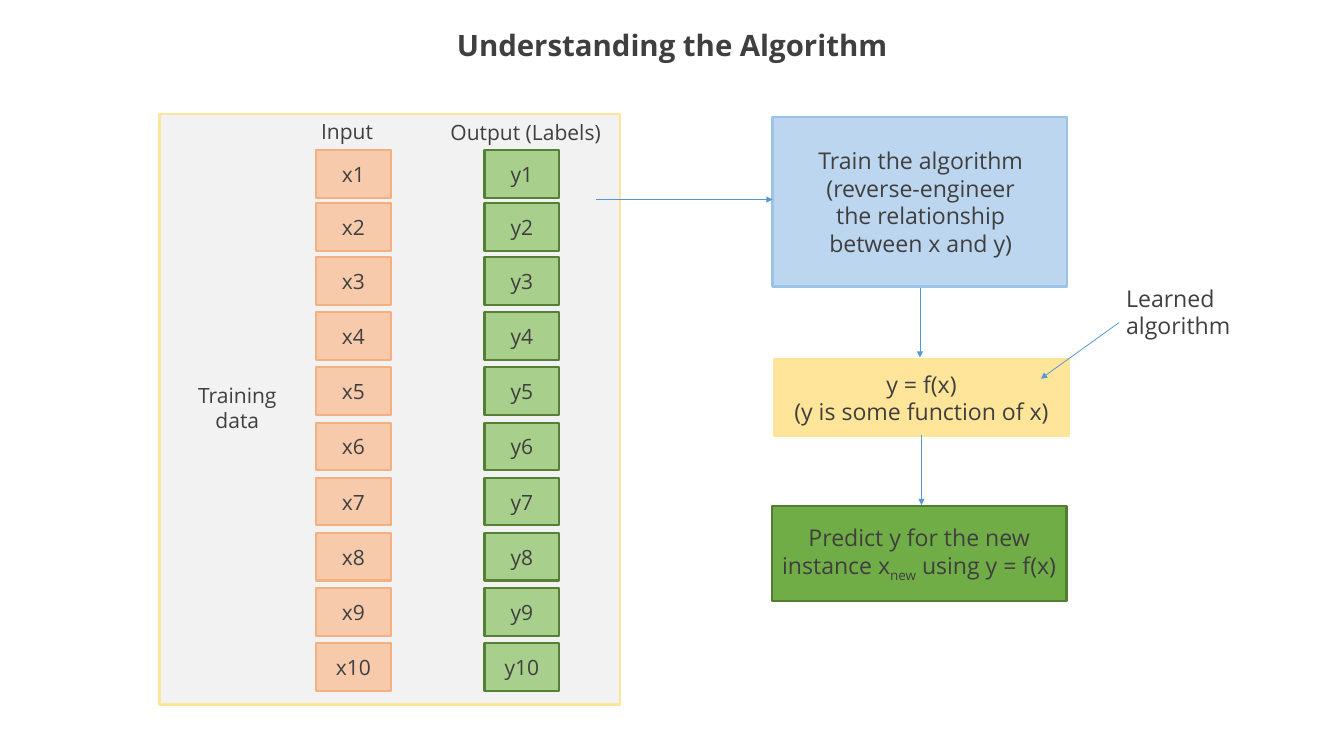
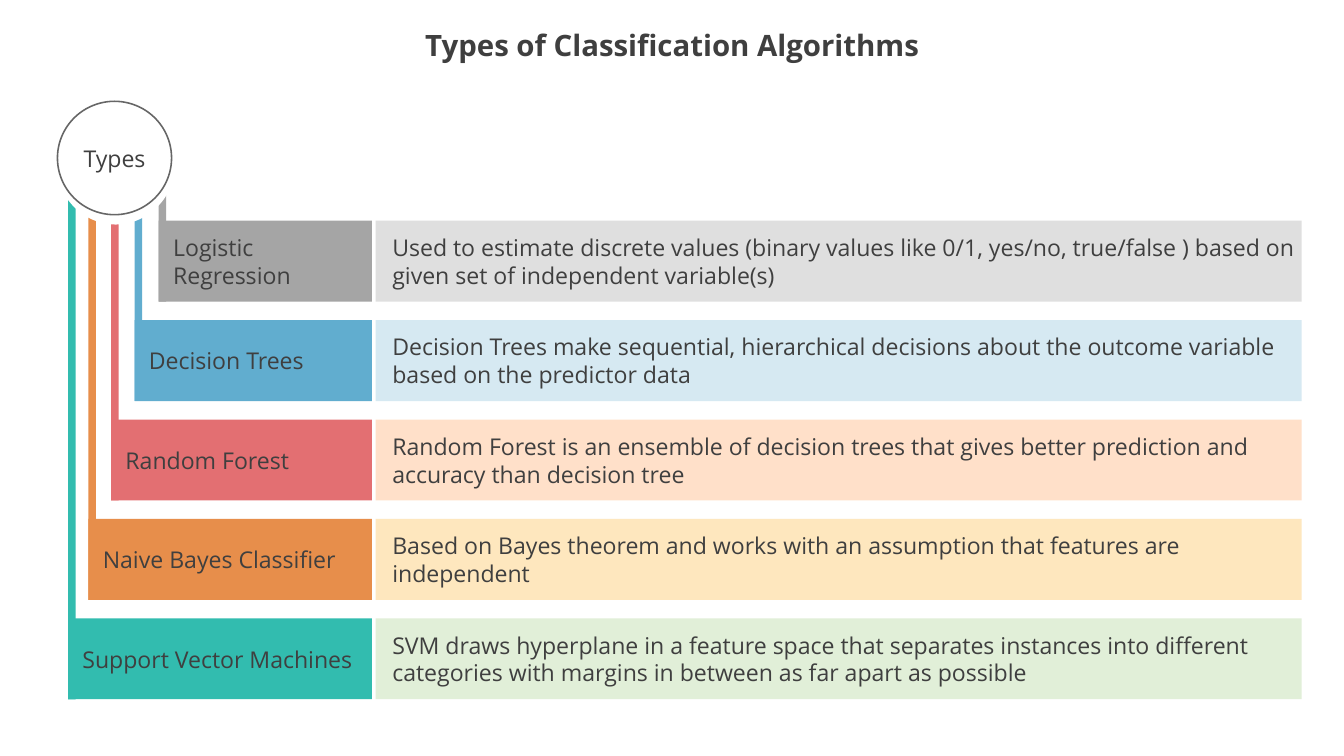
"""Build two slides on how classification algorithms learn and which types exist."""
from dataclasses import dataclass

from lxml.etree import SubElement as Sub
from pptx import Presentation
from pptx.dml.color import RGBColor as Rgb
from pptx.enum.shapes import MSO_CONNECTOR as Link, MSO_SHAPE as Shape
from pptx.enum.text import MSO_ANCHOR as Anchor, PP_ALIGN as Align
from pptx.oxml.ns import qn
from pptx.util import Inches, Pt


@dataclass(frozen=True)
class Theme:
    font: str = "Open Sans"
    ink: str = "3F3F3F"
    arrow: str = "5597D3"
    ring: str = "666666"
    white: str = "FFFFFF"
    panel: tuple = ("F2F2F2", "FEE599")
    peach: tuple = ("F7CAAC", "F4B081")
    lime: tuple = ("A8D08C", "548135")
    sky: tuple = ("BBD6EE", "9CC2E5")
    gold: tuple = ("FEE599", "FEE599")
    green: tuple = ("70AD47", "517E33")
    title: int = 28
    body: int = 22
    small: int = 20


T = Theme()
SIZE = (17.78, 10)
PAD = (0.1, 0.05, 0.1, 0.05)

TITLES = ("Understanding the Algorithm", "Types of Classification Algorithms")
PANEL = (2.11, 1.51, 6.09, 7.81)
COLS = (("x", 4.18, T.peach), ("y", 6.41, T.lime))
TOPS = [1.99, 2.69] + [3.4 + 0.73 * i for i in range(8)]
CELL = (0.99, 0.63)
LABELS = (
    ("Input", (4.15, 1.52, 0.94, 0.42), T.small, Align.LEFT),
    ("Output (Labels)", (5.86, 1.53, 2.32, 0.42), T.small, Align.LEFT),
    ("Training data", (2.37, 5.01, 1.54, 0.74), T.small, Align.CENTER),
    ("Learned algorithm", (14.8, 3.71, 1.87, 0.77), T.body, Align.LEFT),
)
STEPS = (
    (["Train the algorithm (reverse-engineer the relationship between x and y)"],
     (10.22, 1.55, 3.9, 2.24), T.sky, (0.48, 0.05, 0.46, 0.05)),
    (["y = f(x)", "(y is some function of x)"],
     (10.24, 4.75, 3.9, 1.02), T.gold, PAD),
    ([("Predict y for the new instance x", "new", " using y = f(x)")],
     (10.21, 6.69, 3.9, 1.26), T.green, PAD),
)
ARROWS = (
    (7.89, 2.64, 10.22, 2.64),
    (12.17, 3.81, 12.17, 4.73),
    (12.19, 5.76, 12.19, 6.68),
    (14.8, 4.27, 13.77, 5.01),
)

TYPES = (
    ("Logistic Regression", 2.1, "A5A5A5", "DFDFDF",
     "Used to estimate discrete values (binary values like 0/1, yes/no, "
     "true/false ) based on given set of independent variable(s)"),
    ("Decision Trees", 1.78, "61ADCF", "D6E9F2",
     "Decision Trees make sequential, hierarchical decisions about the "
     "outcome variable based on the predictor data"),
    ("Random Forest", 1.47, "E36F72", "FFE0C9",
     "Random Forest is an ensemble of decision trees that gives better "
     "prediction and accuracy than decision tree"),
    ("Naive Bayes Classifier", 1.17, "E78E4B", "FEE7BE",
     "Based on Bayes theorem and works with an assumption that features "
     "are independent"),
    ("Support Vector Machines", 0.9, "32BCAF", "E1EFD8",
     "SVM draws hyperplane in a feature space that separates instances into "
     "different categories with margins in between as far apart as possible"),
)
FIRST, LAST, HIGH = 2.92, 8.18, 1.07
STEM, WIDE = 1.96, 0.1
SPLIT, DESC, EDGE = 4.92, 4.97, 17.22


def write(shape, paras, size=T.body, align=Align.CENTER, pad=PAD,
          anchor=Anchor.MIDDLE, bold=False, space=None):
    frame = shape.text_frame
    frame.word_wrap = True
    frame.vertical_anchor = anchor
    (frame.margin_left, frame.margin_top,
     frame.margin_right, frame.margin_bottom) = map(Inches, pad)
    for i, parts in enumerate(paras):
        para = frame.add_paragraph() if i else frame.paragraphs[0]
        para.alignment = align
        para.line_spacing = space
        font = para.font
        font.name, font.size, font.bold = T.font, Pt(size), bold
        font.color.rgb = Rgb.from_string(T.ink)
        for j, text in enumerate((parts,) if isinstance(parts, str) else parts):
            run = para.add_run()
            run.text = text
            if j == 1:
                run.font._element.set("baseline", "-25000")


def box(slide, at, fill=None, line=None, width=2, kind=Shape.RECTANGLE):
    shape = slide.shapes.add_shape(kind, *map(Inches, at))
    shape.shadow.inherit = False
    if fill:
        shape.fill.solid()
        shape.fill.fore_color.rgb = Rgb.from_string(fill)
    else:
        shape.fill.background()
    if line:
        shape.line.color.rgb = Rgb.from_string(line)
        shape.line.width = Pt(width)
    else:
        shape.line.fill.background()
    return shape


def note(slide, text, at, size, align, **look):
    write(slide.shapes.add_textbox(*map(Inches, at)), [text], size, align, **look)


def arrow(slide, ends):
    line = slide.shapes.add_connector(Link.STRAIGHT, *map(Inches, ends))
    line.line.color.rgb = Rgb.from_string(T.arrow)
    line.line.width = Pt(0.75)
    Sub(line.line._get_or_add_ln(), qn("a:tailEnd"), type="triangle")
    Sub(line._element.spPr, qn("a:effectLst"))


def start(deck, title):
    slide = deck.slides.add_slide(deck.slide_layouts[6])
    note(slide, title, (0, 0.25, SIZE[0], 0.75), T.title, Align.CENTER,
         bold=True, space=0.9)
    return slide


def flow(slide):
    box(slide, PANEL, *T.panel)
    for name, left, look in COLS:
        for i, top in enumerate(TOPS, 1):
            write(box(slide, (left, top, *CELL), *look), [f"{name}{i}"], T.small)
    for text, at, look, pad in STEPS:
        write(box(slide, at, *look), text, pad=pad)
    for text, at, size, align in LABELS:
        note(slide, text, at, size, align, anchor=Anchor.TOP)
    for ends in ARROWS:
        arrow(slide, ends)


def tree(slide):
    pitch = (LAST - FIRST) / (len(TYPES) - 1)
    for i, (name, left, dark, light, text) in enumerate(TYPES):
        top = FIRST + pitch * i
        write(box(slide, (DESC, top, EDGE - DESC, HIGH), light), [text],
              align=Align.LEFT, pad=(0.22, 0, 0, 0))
        box(slide, (left, STEM, WIDE, top + HIGH - STEM), dark)
        write(box(slide, (left, top, SPLIT - left, HIGH), dark), [name],
              align=Align.LEFT, pad=(0.19, 0.05, 0.15, 0.05))
    box(slide, (0.72, 1.22, 1.62, 1.75), T.white, kind=Shape.OVAL)
    ring = box(slide, (0.76, 1.34, 1.51, 1.5), None, T.ring, 1.5, Shape.OVAL)
    write(ring, ["Types"])


def main():
    deck = Presentation()
    deck.slide_width, deck.slide_height = map(Inches, SIZE)
    for title, draw in zip(TITLES, (flow, tree)):
        draw(start(deck, title))
    deck.save("out.pptx")


if __name__ == "__main__":
    main()
